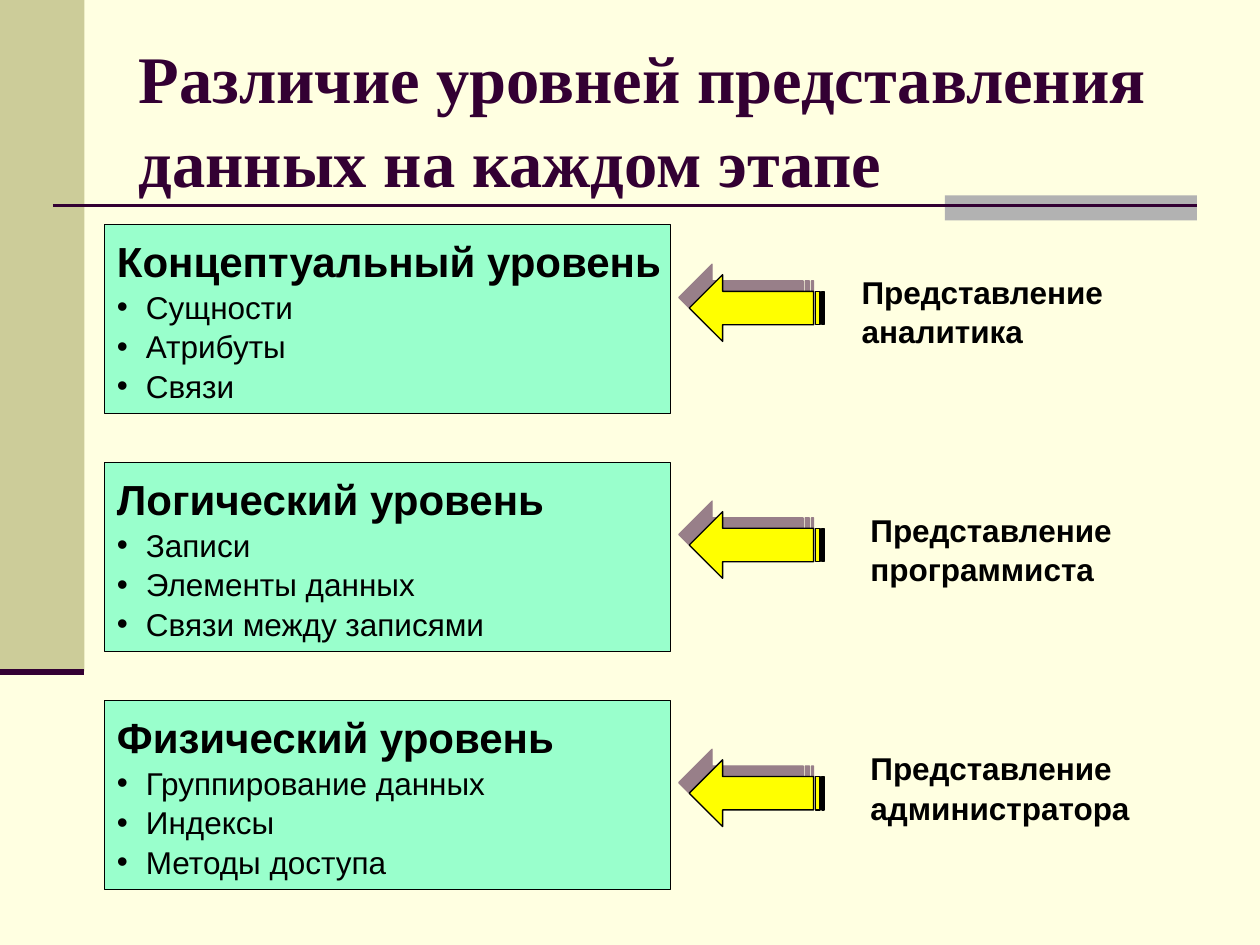
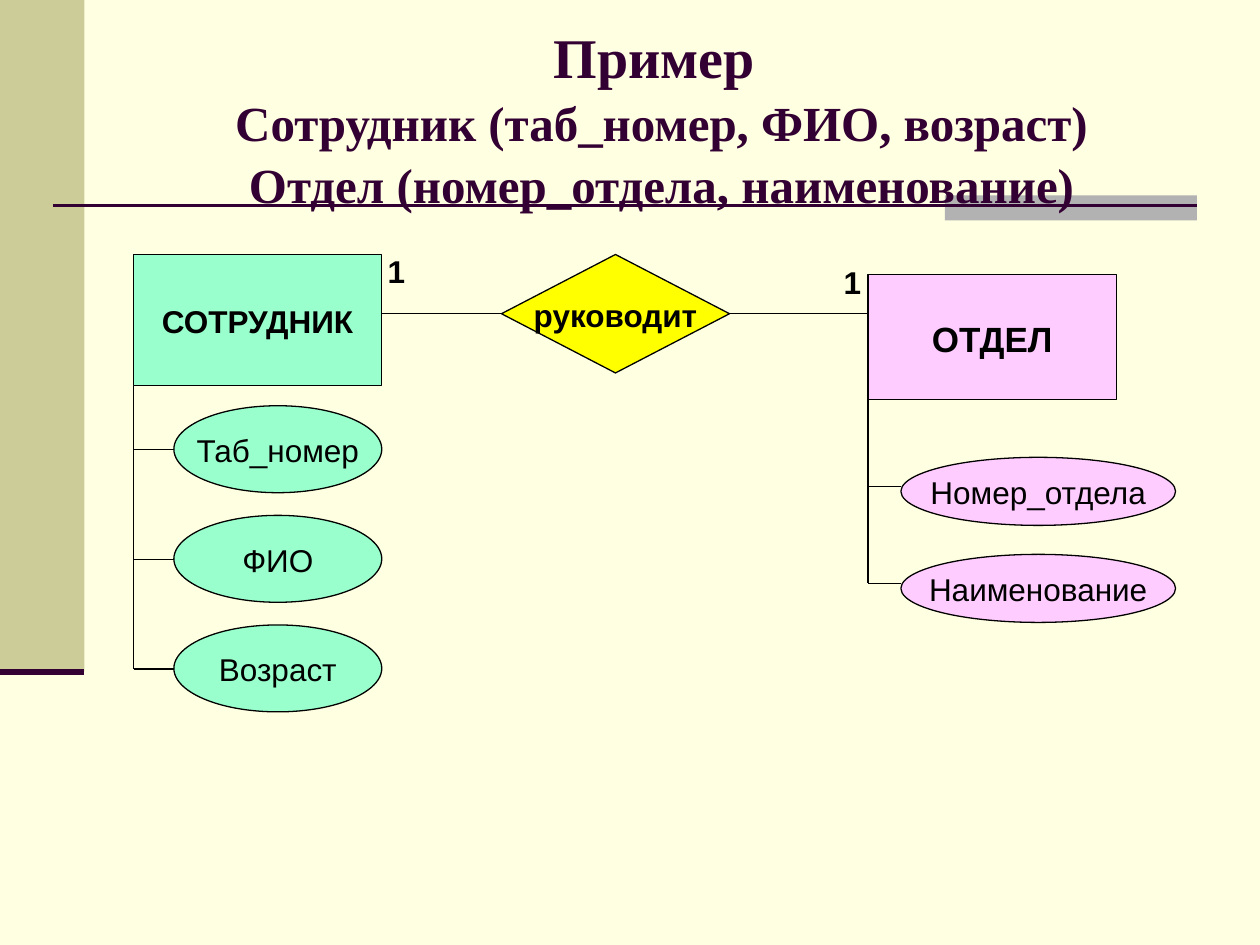
from lxml.etree import SubElement
from pptx import Presentation
from pptx.dml.color import RGBColor
from pptx.enum.shapes import MSO_CONNECTOR, MSO_SHAPE
from pptx.enum.text import MSO_ANCHOR, MSO_AUTO_SIZE, PP_ALIGN
from pptx.oxml import parse_xml
from pptx.oxml.ns import nsdecls, qn
from pptx.util import Inches, Pt

CREAM = RGBColor(0xFF, 0xFF, 0xE1)
OLIVE = RGBColor(0xCC, 0xCC, 0x99)
GREY = RGBColor(0xB2, 0xB2, 0xB2)
PLUM = RGBColor(0x33, 0x00, 0x33)
BLACK = RGBColor(0x00, 0x00, 0x00)
MINT = RGBColor(0x99, 0xFF, 0xCC)
PINK = RGBColor(0xFF, 0xCC, 0xFF)
YELLOW = RGBColor(0xFF, 0xFF, 0x00)

HEAD = {"name": "Times New Roman", "bold": True}
BODY = {"name": "Arial", "bold": False, "size": Pt(18)}
BOLD = {**BODY, "bold": True}
LEVEL = {**BOLD, "size": Pt(24)}
PLAIN = {"word_wrap": False, "vertical_anchor": MSO_ANCHOR.MIDDLE}
BLOCK = {"word_wrap": True, "vertical_anchor": MSO_ANCHOR.MIDDLE, "margin_right": 0}
LABEL = {**BLOCK, "vertical_anchor": MSO_ANCHOR.TOP}
MARK = {"word_wrap": True, "vertical_anchor": MSO_ANCHOR.TOP}
LEFT, CENTER = PP_ALIGN.LEFT, PP_ALIGN.CENTER

SHADOW = (
    f'<a:effectLst {nsdecls("a")}><a:outerShdw dist="107950" dir="13500000" '
    'algn="ctr" rotWithShape="0"><a:srgbClr val="330033"><a:alpha val="50000"/>'
    "</a:srgbClr></a:outerShdw></a:effectLst>"
)


def assign(item, values):
    for name, value in values.items():
        setattr(item, name, value)


def inches(*sizes):
    return [Inches(size) for size in sizes]


class Deck:
    def __init__(self):
        self.show = Presentation()
        assign(self.show, {"slide_width": Inches(10), "slide_height": Inches(7.5)})
        fill = self.show.slide_master.background.fill
        fill.solid()
        fill.fore_color.rgb = CREAM
        self.layout = self.show.slide_layouts[5]
        self.slide = None

    def decor(self):
        parts = [
            self.shape((0, 0, 0.67, 5.33), OLIVE, line=None),
            self.shape((7.5, 1.55, 2, 0.2), GREY, line=None),
            self.line((0.42, 1.63), (9.5, 1.63), PLUM, 1.5),
            self.line((0, 5.33), (0.67, 5.33), PLUM, 3.5),
        ]
        for part in parts:
            self.layout.shapes.element.append(part.element)

    def page(self, rows, align=LEFT):
        first = self.slide is None
        self.slide = self.show.slides.add_slide(self.layout)
        if first:
            self.decor()
        title = self.slide.shapes.title
        box = inches(1, 0.3, 8.5, 1.25)
        assign(title, dict(zip(("left", "top", "width", "height"), box)))
        frame = title.text_frame
        assign(frame, {"word_wrap": True, "auto_size": MSO_AUTO_SIZE.NONE,
                       "vertical_anchor": MSO_ANCHOR.MIDDLE})
        para = frame.paragraphs[0]
        assign(para, {"alignment": align, "line_spacing": 1.05})
        for i, (text, size) in enumerate(rows):
            if i:
                para.add_line_break()
            self.run(para, text, {**HEAD, "size": Pt(size)}, PLUM)

    def run(self, para, text, font, color=BLACK):
        run = para.add_run()
        run.text = text
        assign(run.font, font)
        run.font.color.rgb = color

    def letter(self, shape, rows, frame, align=CENTER):
        body = shape.text_frame
        assign(body, frame)
        for i, (text, font) in enumerate(rows):
            para = body.add_paragraph() if i else body.paragraphs[0]
            assign(para, {"alignment": align, "line_spacing": 1.05})
            self.run(para, text, font)
        return body

    def shape(self, box, fill, kind=MSO_SHAPE.RECTANGLE, line=BLACK):
        shape = self.slide.shapes.add_shape(kind, *inches(*box))
        shape.shadow.inherit = False
        shape.fill.solid()
        shape.fill.fore_color.rgb = fill
        if line is None:
            shape.line.fill.background()
        else:
            shape.line.color.rgb = line
            shape.line.width = Pt(0.75)
        return shape

    def node(self, box, text, fill, kind=MSO_SHAPE.RECTANGLE, font=BODY):
        self.letter(self.shape(box, fill, kind), [(text, font)], PLAIN)

    def text(self, box, rows, frame, align=LEFT):
        shape = self.slide.shapes.add_textbox(*inches(*box))
        self.letter(shape, [(row, BOLD) for row in rows], frame, align)

    def line(self, start, end, color=BLACK, width=0.75):
        line = self.slide.shapes.add_connector(
            MSO_CONNECTOR.STRAIGHT, *inches(*start, *end))
        line.line.color.rgb = color
        line.line.width = Pt(width)
        SubElement(line.element.spPr, qn("a:effectLst"))
        return line

    def level(self, top, name, items):
        shape = self.shape((0.83, top, 4.49, 1.5), MINT)
        rows = [(name, LEVEL)] + [(item, BODY) for item in items]
        body = self.letter(shape, rows, BLOCK, LEFT)
        for para in body.paragraphs[1:]:
            props = para._p.get_or_add_pPr()
            props.set("marL", str(Inches(0.23)))
            props.set("indent", str(-Inches(0.23)))
            SubElement(props, qn("a:buFont"), typeface="Arial")
            SubElement(props, qn("a:buChar"), char="•")

    def arrow(self, top):
        arrow = self.shape((5.47, top, 1.07, 0.53), YELLOW,
                           MSO_SHAPE.STRIPED_RIGHT_ARROW)
        arrow.rotation = 180
        props = arrow.element.spPr
        props.replace(props.find(qn("a:effectLst")), parse_xml(SHADOW))

    def tree(self, box, name, fill, font, fields, start, step, size, gap, joint):
        left, top, _, height = box
        self.node(box, name, fill, font=font)
        tops = [start + i * step for i in range(len(fields))]
        self.line((left, top + height), (left, tops[-1] + joint))
        for field, y in zip(fields, tops):
            self.node((left + gap, y, *size), field, fill, MSO_SHAPE.OVAL)
            self.line((left, y + joint), (left + gap, y + joint))


def levels(deck):
    deck.page([("Различие уровней представления данных на каждом этапе", 38)])
    rows = [
        ("Концептуальный уровень", ["Сущности", "Атрибуты", "Связи"],
         "аналитика", 6.74, 2.18),
        ("Логический уровень", ["Записи", "Элементы данных", "Связи между записями"],
         "программиста", 6.81, 4.06),
        ("Физический уровень", ["Группирование данных", "Индексы", "Методы доступа"],
         "администратора", 6.81, 6.03),
    ]
    for i, (name, items, role, left, tip) in enumerate(rows):
        top = 1.78 + i * 1.89
        deck.level(top, name, items)
        deck.arrow(tip)
        deck.text((left, top + 0.32, 2.26, 0.7), ["Представление", role], LABEL)


def sample(deck):
    deck.page([("Пример ", 32),
               ("Сотрудник (таб_номер, ФИО, возраст)", 28),
               ("Отдел (номер_отдела, наименование)", 28)], CENTER)
    deck.tree((1.06, 2.02, 1.97, 1.04), "СОТРУДНИК", MINT, BOLD,
              ["Таб_номер", "ФИО", "Возраст"],
              3.22, 0.87, (1.65, 0.69), 0.32, 0.35)
    deck.tree((6.89, 2.18, 1.97, 0.99), "ОТДЕЛ", PINK, {**BOLD, "size": Pt(20)},
              ["Номер_отдела", "Наименование"],
              3.63, 0.77, (2.18, 0.54), 0.26, 0.23)
    deck.node((3.98, 2.02, 1.81, 0.94), "руководит", YELLOW, MSO_SHAPE.DIAMOND, BOLD)
    for start, end in ((3.03, 3.98), (5.79, 6.89)):
        deck.line((start, 2.49), (end, 2.49))
    for left, top in ((6.57, 2.02), (2.95, 1.94)):
        deck.text((left, top, 0.39, 0.4), ["1"], MARK, CENTER)


def main():
    deck = Deck()
    levels(deck)
    sample(deck)
    deck.show.save("out.pptx")


if __name__ == "__main__":
    main()
